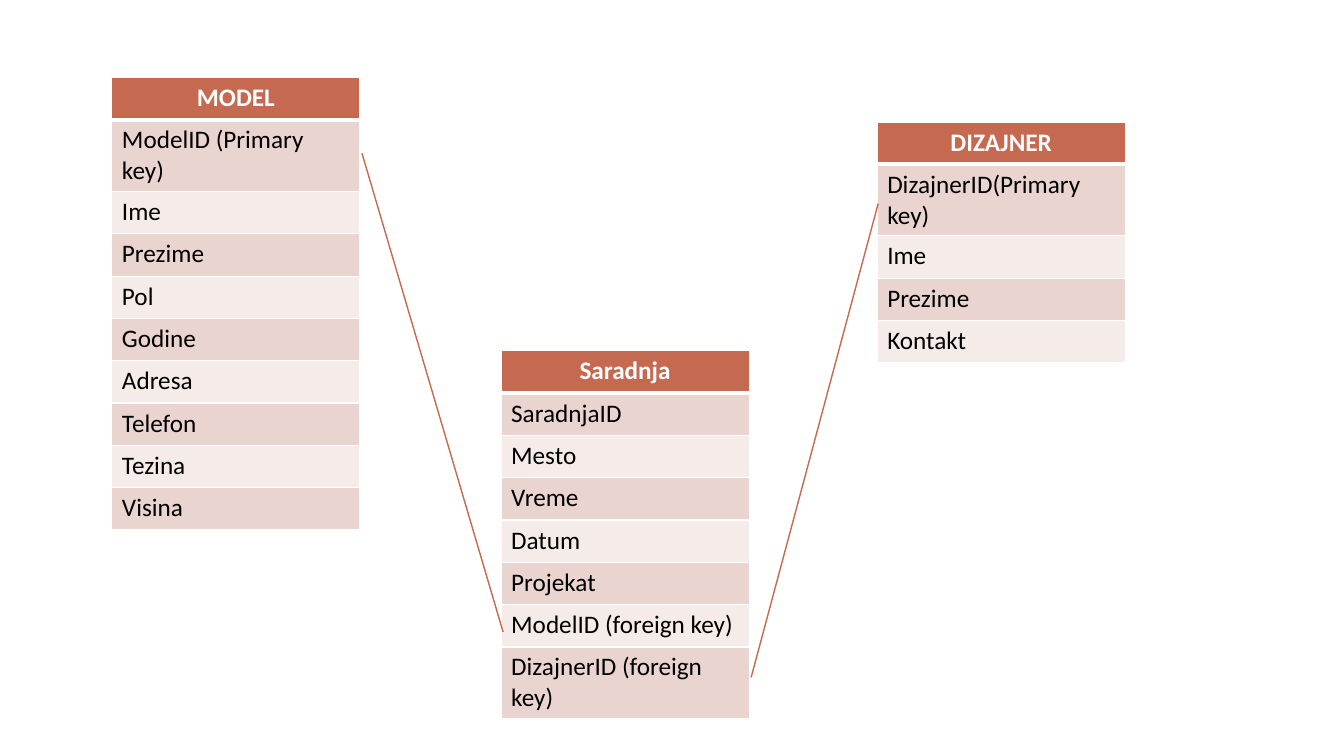
from dataclasses import dataclass

from lxml.etree import SubElement
from pptx import Presentation
from pptx.dml.color import RGBColor
from pptx.enum.shapes import MSO_CONNECTOR
from pptx.enum.text import PP_ALIGN
from pptx.oxml.ns import qn
from pptx.slide import Slide
from pptx.table import _Cell
from pptx.util import Emu, Pt

EMU_PER_PX = 9144


@dataclass(frozen=True)
class Theme:
    font: str = "Calibri"
    text_size: int = 18
    accent: str = "C66951"
    dark_band: str = "EAD4D0"
    light_band: str = "F5EBE9"
    header_text: str = "FFFFFF"
    body_text: str = "000000"
    border: str = "FFFFFF"
    thin: int = 1
    thick: int = 3


@dataclass(frozen=True)
class Entity:
    name: str
    left: int
    top: int
    fields: tuple[str, ...]
    last_row_height: int = 42


@dataclass(frozen=True)
class Relation:
    start: tuple[int, int]
    end: tuple[int, int]


THEME = Theme()
PAGE_WIDTH, PAGE_HEIGHT = 1333, 750
ENTITY_WIDTH, ROW_HEIGHT = 246, 42

ENTITIES = (
    Entity("MODEL", 111, 77, (
        "ModelID (Primary key)", "Ime", "Prezime", "Pol", "Godine",
        "Adresa", "Telefon", "Tezina", "Visina",
    )),
    Entity("DIZAJNER", 870, 121, (
        "DizajnerID(Primary key)", "Ime", "Prezime", "Kontakt",
    )),
    Entity("Saradnja", 497, 348, (
        "SaradnjaID", "Mesto", "Vreme", "Datum", "Projekat",
        "ModelID (foreign key)", "DizajnerID (foreign key)",
    ), last_row_height=70),
)

RELATIONS = (
    Relation((359, 152), (499, 627)),
    Relation((745, 672), (871, 202)),
)


def px(length: int) -> Emu:
    return Emu(length * EMU_PER_PX)


def set_borders(cell: _Cell, *, top: int, bottom: int) -> None:
    properties = cell._tc.get_or_add_tcPr()
    widths = {"lnL": THEME.thin, "lnR": THEME.thin, "lnT": top, "lnB": bottom}
    for side, width in widths.items():
        line = SubElement(properties, qn(f"a:{side}"), w=str(Pt(width)))
        fill = SubElement(line, qn("a:solidFill"))
        SubElement(fill, qn("a:srgbClr"), val=THEME.border)


def write_text(cell: _Cell, text: str, *, color: str, bold: bool,
               align: PP_ALIGN) -> None:
    para = cell.text_frame.paragraphs[0]
    para.alignment = align
    span = para.add_run()
    span.text = text
    span.font.name = THEME.font
    span.font.size = Pt(THEME.text_size)
    span.font.bold = bold
    span.font.color.rgb = RGBColor.from_string(color)


def draw_entity(page: Slide, entity: Entity) -> None:
    labels = (entity.name, *entity.fields)
    heights = [ROW_HEIGHT] * len(entity.fields) + [entity.last_row_height]
    table = page.shapes.add_table(
        len(labels), 1, px(entity.left), px(entity.top),
        px(ENTITY_WIDTH), px(sum(heights)),
    ).table
    for index, (label, height) in enumerate(zip(labels, heights)):
        table.rows[index].height = px(height)
        cell = table.cell(index, 0)
        is_header = index == 0
        set_borders(
            cell,
            top=THEME.thick if index == 1 else THEME.thin,
            bottom=THEME.thick if is_header else THEME.thin,
        )
        band = THEME.dark_band if index % 2 else THEME.light_band
        cell.fill.solid()
        cell.fill.fore_color.rgb = RGBColor.from_string(
            THEME.accent if is_header else band)
        write_text(
            cell, label,
            color=THEME.header_text if is_header else THEME.body_text,
            bold=is_header,
            align=PP_ALIGN.CENTER if is_header else PP_ALIGN.LEFT,
        )


def draw_relation(page: Slide, relation: Relation) -> None:
    connector = page.shapes.add_connector(
        MSO_CONNECTOR.STRAIGHT,
        *map(px, relation.start), *map(px, relation.end),
    )
    connector.line.color.rgb = RGBColor.from_string(THEME.accent)
    connector.line.width = Pt(THEME.thin)
    SubElement(connector._element.spPr, qn("a:effectLst"))


def main() -> None:
    deck = Presentation()
    deck.slide_width, deck.slide_height = px(PAGE_WIDTH), px(PAGE_HEIGHT)
    page = deck.slides.add_slide(deck.slide_layouts[6])
    for entity in ENTITIES:
        draw_entity(page, entity)
    for relation in RELATIONS:
        draw_relation(page, relation)
    deck.save("out.pptx")


if __name__ == "__main__":
    main()
